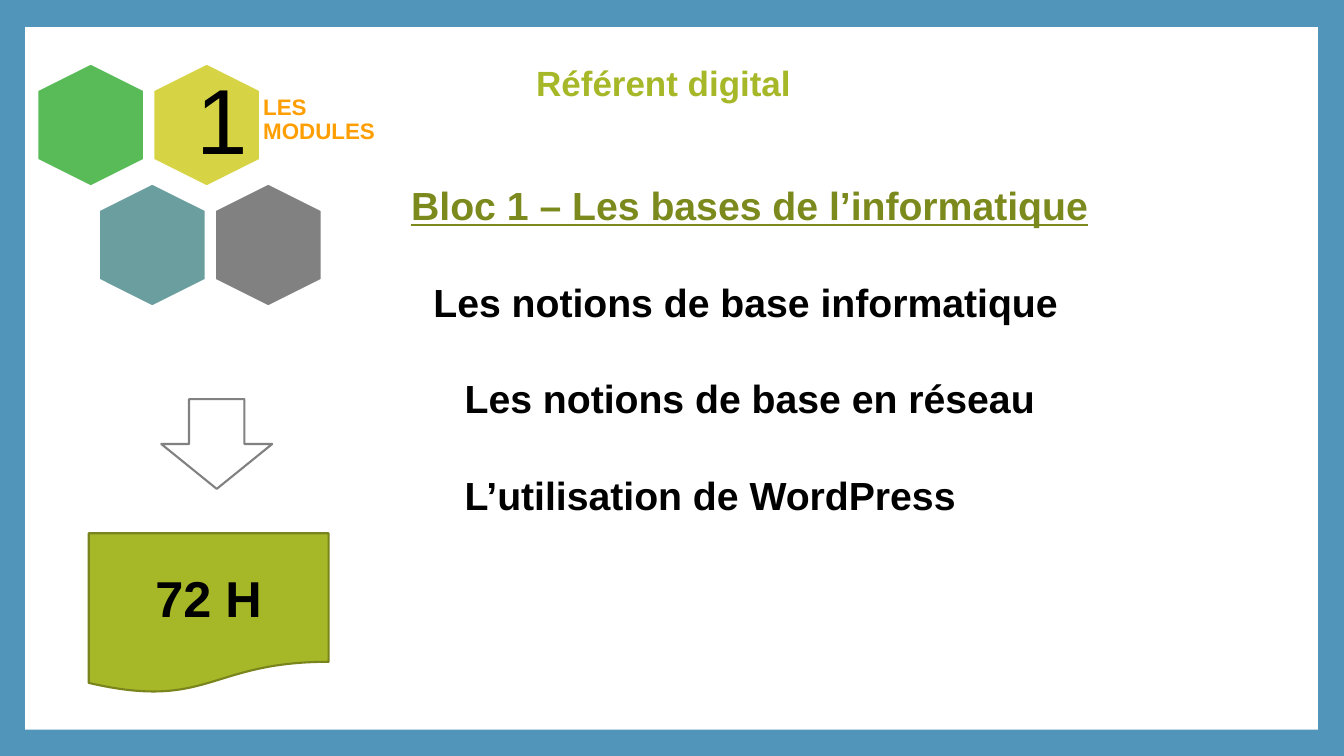
import pptx
import pptx.util
import pptx.dml.color
import pptx.enum.shapes
import pptx.enum.text
from dataclasses import dataclass

PX = 9144  # EMU per px, 100 px to the inch
KIND = pptx.enum.shapes.MSO_SHAPE
ALIGN = pptx.enum.text.PP_ALIGN
MID = pptx.enum.text.MSO_ANCHOR.MIDDLE
TOP = pptx.enum.text.MSO_ANCHOR.TOP


@dataclass(frozen=True)
class Theme:
    font: str = "Arial"
    back: str = "5295BA"
    white: str = "FFFFFF"
    black: str = "000000"
    lime: str = "A6B727"
    olive: str = "7C891D"
    edge: str = "79851C"
    amber: str = "FE9E00"
    green: str = "58BB57"
    yellow: str = "D6D445"
    teal: str = "6B9F9F"
    gray: str = "818181"
    line: float = 1.5
    digit: int = 66
    hours: int = 36
    body: int = 28
    title: int = 25
    label: int = 16


THEME = Theme()


def rgb(code):
    return pptx.dml.color.RGBColor.from_string(code)


def place(item, box):
    item.left, item.top, item.width, item.height = [n * PX for n in box]


def style(para, size, color, align, bold=True, under=False):
    para.alignment = align
    for run in para.runs:
        font = run.font
        font.name, font.size = THEME.font, pptx.util.Pt(size)
        font.bold, font.underline = bold, under
        font.color.rgb = rgb(color)


def inset(frame, sides, anchor):
    frame.word_wrap = True
    frame.auto_size = pptx.enum.text.MSO_AUTO_SIZE.NONE
    frame.vertical_anchor = anchor
    (frame.margin_left, frame.margin_top,
     frame.margin_right, frame.margin_bottom) = [n * PX for n in sides]


def add_form(slide, kind, box, fill, edge=None, turn=0):
    form = slide.shapes.add_shape(kind, *[n * PX for n in box])
    form.shadow.inherit = False
    form.rotation = turn
    form.fill.solid()
    form.fill.fore_color.rgb = rgb(fill)
    if edge:
        form.line.color.rgb = rgb(edge)
        form.line.width = pptx.util.Pt(THEME.line)
    else:
        form.line.fill.background()
    return form


def add_text(slide, box, text, pad, anchor=MID):
    frame = slide.shapes.add_textbox(*[n * PX for n in box]).text_frame
    inset(frame, pad, anchor)
    frame.text = text
    return frame


def add_title(slide, text):
    title = slide.shapes.title
    place(title, (226, 56, 864, 52))
    inset(title.text_frame, (10, 5, 10, 5), MID)
    title.text_frame.text = text
    style(title.text_frame.paragraphs[0], THEME.title, THEME.lime, ALIGN.CENTER)


def add_hive(slide):
    # Two staggered rows of hexagons
    rows = [(29, 71, (THEME.green, THEME.yellow)),
            (90, 190, (THEME.teal, THEME.gray))]
    for left, top, fills in rows:
        for col, fill in enumerate(fills):
            box = (left + 115 * col, top, 122, 106)
            add_form(slide, KIND.HEXAGON, box, fill, THEME.white, 90)


def add_mark(slide, box, text, pad, size, color, align, bold):
    para = add_text(slide, box, text, (pad,) * 4).paragraphs[0]
    para.line_spacing = 0.9
    style(para, size, color, align, bold)


def add_body(slide, head, items):
    lines = [(head, 0)] + items
    text = "\n".join(line for line, _ in lines)
    frame = add_text(slide, (398, 171, 888, 383), text, (10, 7, 10, 5), TOP)
    for row, (para, (_, left)) in enumerate(zip(frame.paragraphs, lines)):
        first = row == 0
        para.line_spacing = 1.05
        if not first:
            para.space_before = pptx.util.Pt(33.6)
            para._p.get_or_add_pPr().set("marL", str(left * PX))
        color = THEME.olive if first else THEME.black
        style(para, THEME.body, color, ALIGN.JUSTIFY, under=first)


def main():
    deck = pptx.Presentation()
    deck.slide_width, deck.slide_height = 1333 * PX, 750 * PX
    slide = deck.slides.add_slide(deck.slide_layouts[5])

    # Blue border around a white sheet
    slide.background.fill.solid()
    slide.background.fill.fore_color.rgb = rgb(THEME.back)
    sheet = add_form(slide, KIND.RECTANGLE, (25, 27, 1282, 697), THEME.white)
    slide.shapes._spTree.insert(2, sheet._element)

    add_title(slide, "Référent digital")

    # Module badge
    add_hive(slide)
    add_mark(slide, (168, 82, 73, 84), "1", 27,
             THEME.digit, THEME.black, ALIGN.CENTER, False)
    add_mark(slide, (254, 42, 151, 154), "LES MODULES", 7,
             THEME.label, THEME.amber, ALIGN.LEFT, True)

    # Course content
    add_body(slide, "Bloc 1 – Les bases de l’informatique", [
        ("Les notions de base informatique", 22),
        ("Les notions de base en réseau", 53),
        ("L’utilisation de WordPress", 53),
    ])

    # Duration
    add_form(slide, KIND.DOWN_ARROW, (160, 396, 110, 89),
             THEME.white, THEME.gray)
    note = add_form(slide, KIND.FLOWCHART_DOCUMENT, (88, 529, 238, 159),
                    THEME.lime, THEME.edge)
    inset(note.text_frame, (10, 5, 10, 5), MID)
    note.text_frame.text = "72 H"
    style(note.text_frame.paragraphs[0], THEME.hours, THEME.black, ALIGN.CENTER)

    deck.save("out.pptx")


if __name__ == "__main__":
    main()
